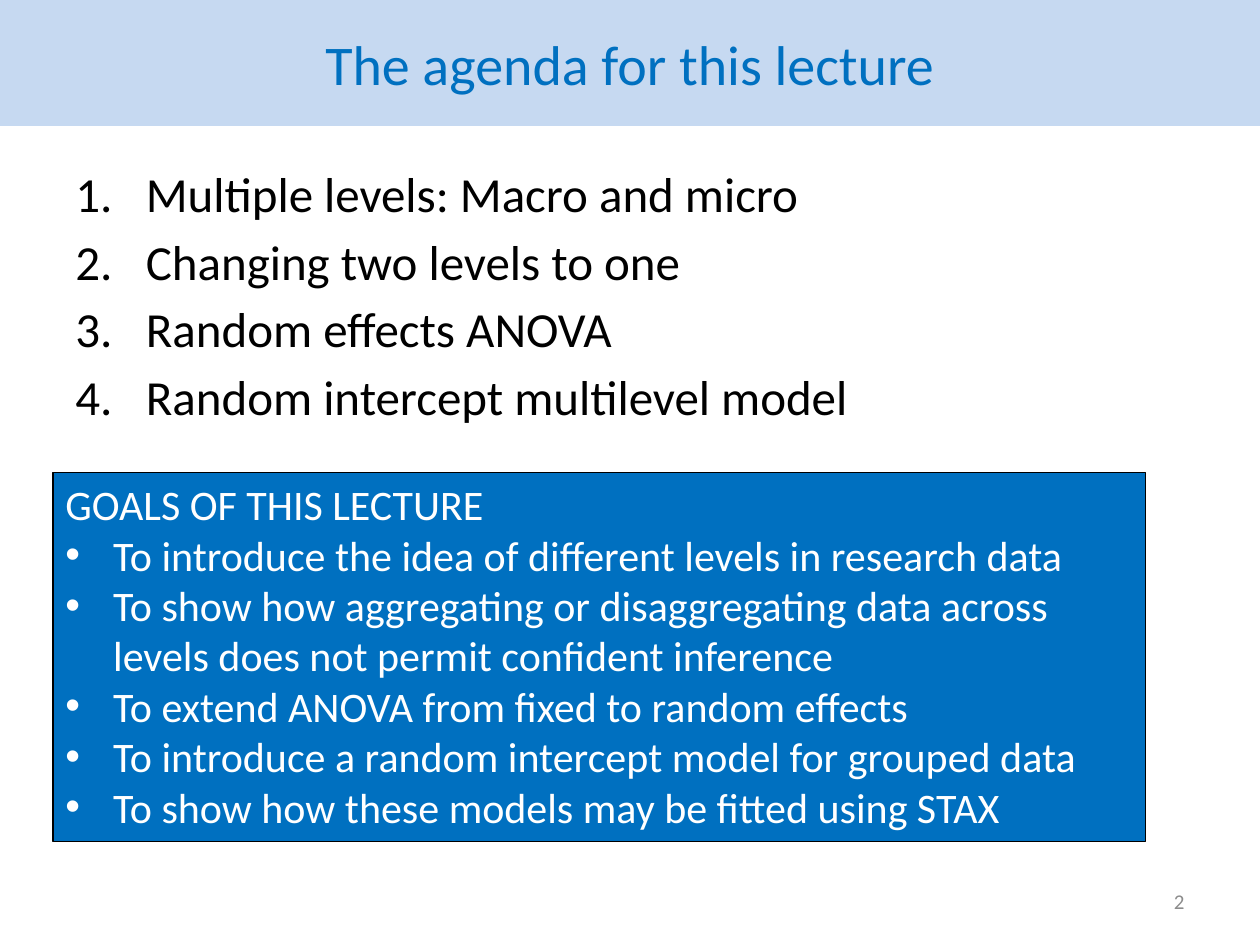
from lxml import etree
from pptx import Presentation
from pptx.dml.color import RGBColor
from pptx.enum.shapes import MSO_SHAPE
from pptx.enum.text import MSO_ANCHOR, PP_ALIGN
from pptx.oxml.ns import qn
from pptx.util import Inches, Pt

RECTANGLE = MSO_SHAPE.RECTANGLE
TOP, MIDDLE = MSO_ANCHOR.TOP, MSO_ANCHOR.MIDDLE
LEFT, CENTER, RIGHT = PP_ALIGN.LEFT, PP_ALIGN.CENTER, PP_ALIGN.RIGHT

BLUE, PALE_BLUE = "0070C0", "C6D9F1"
BLACK, WHITE, GRAY = "000000", "FFFFFF", "8C8C8C"

AGENDA = [
    "Multiple levels: Macro and micro",
    "Changing two levels to one",
    "Random effects ANOVA",
    "Random intercept multilevel model",
]
GOALS = [
    "To introduce the idea of different levels in research data",
    "To show how aggregating or disaggregating data across levels does not permit confident inference",
    "To extend ANOVA from fixed to random effects",
    "To introduce a random intercept model for grouped data",
    "To show how these models may be fitted using STAX",
]


def color(value):
    return RGBColor.from_string(value)


def add_panel(slide, box, fill, outline=None):
    panel = slide.shapes.add_shape(RECTANGLE, *map(Inches, box))
    panel.shadow.inherit = False
    panel.fill.solid()
    panel.fill.fore_color.rgb = color(fill)
    if outline:
        panel.line.color.rgb = color(outline)
        panel.line.width = Pt(0.75)
    else:
        panel.line.fill.background()
    return panel.text_frame


def add_text(slide, box):
    return slide.shapes.add_textbox(*map(Inches, box)).text_frame


def set_marker(paragraph, indent, tag, **attributes):
    properties = paragraph._p.get_or_add_pPr()
    properties.set("marL", str(Inches(indent)))
    properties.set("indent", str(-Inches(indent)))
    etree.SubElement(properties, qn("a:buFont"), typeface="Arial")
    etree.SubElement(properties, qn(tag), **attributes)


def write(frame, lines, size, text_color, align=LEFT, anchor=TOP):
    frame.word_wrap = True
    frame.vertical_anchor = anchor
    frame.text = "\n".join(lines)
    for paragraph in frame.paragraphs:
        paragraph.alignment = align
        paragraph.font.name = "Calibri"
        paragraph.font.size = Pt(size)
        paragraph.font.color.rgb = color(text_color)


def add_agenda(slide):
    frame = add_text(slide, (0.5, 1.25, 9, 2.08))
    frame.text = "\n".join(AGENDA)
    write(frame, AGENDA, 28, BLACK)
    for paragraph in frame.paragraphs:
        paragraph.space_before = Pt(5)
        mark_before_font(paragraph, 0.56, "a:buAutoNum", type="arabicPeriod")


def mark_before_font(paragraph, indent, tag, **attributes):
    set_marker(paragraph, indent, tag, **attributes)
    properties = paragraph._p.pPr
    properties.append(properties.find(qn("a:defRPr")))


def add_goals(slide):
    frame = add_panel(slide, (0.42, 3.75, 8.67, 2.93), BLUE, BLACK)
    write(frame, ["GOALS OF THIS LECTURE", *GOALS], 24, WHITE)
    for paragraph in frame.paragraphs[1:]:
        mark_before_font(paragraph, 0.38, "a:buChar", char="•")


def main():
    presentation = Presentation()
    presentation.slide_width = Inches(10)
    presentation.slide_height = Inches(7.5)
    slide = presentation.slides.add_slide(presentation.slide_layouts[6])

    title = add_panel(slide, (0, 0, 10, 1), PALE_BLUE)
    write(title, ["The agenda for this lecture"], 32, BLUE, CENTER, MIDDLE)
    add_agenda(slide)
    add_goals(slide)
    page_number = add_text(slide, (7.17, 6.95, 2.33, 0.4))
    write(page_number, ["2"], 12, GRAY, RIGHT, MIDDLE)

    presentation.save("out.pptx")


if __name__ == "__main__":
    main()
